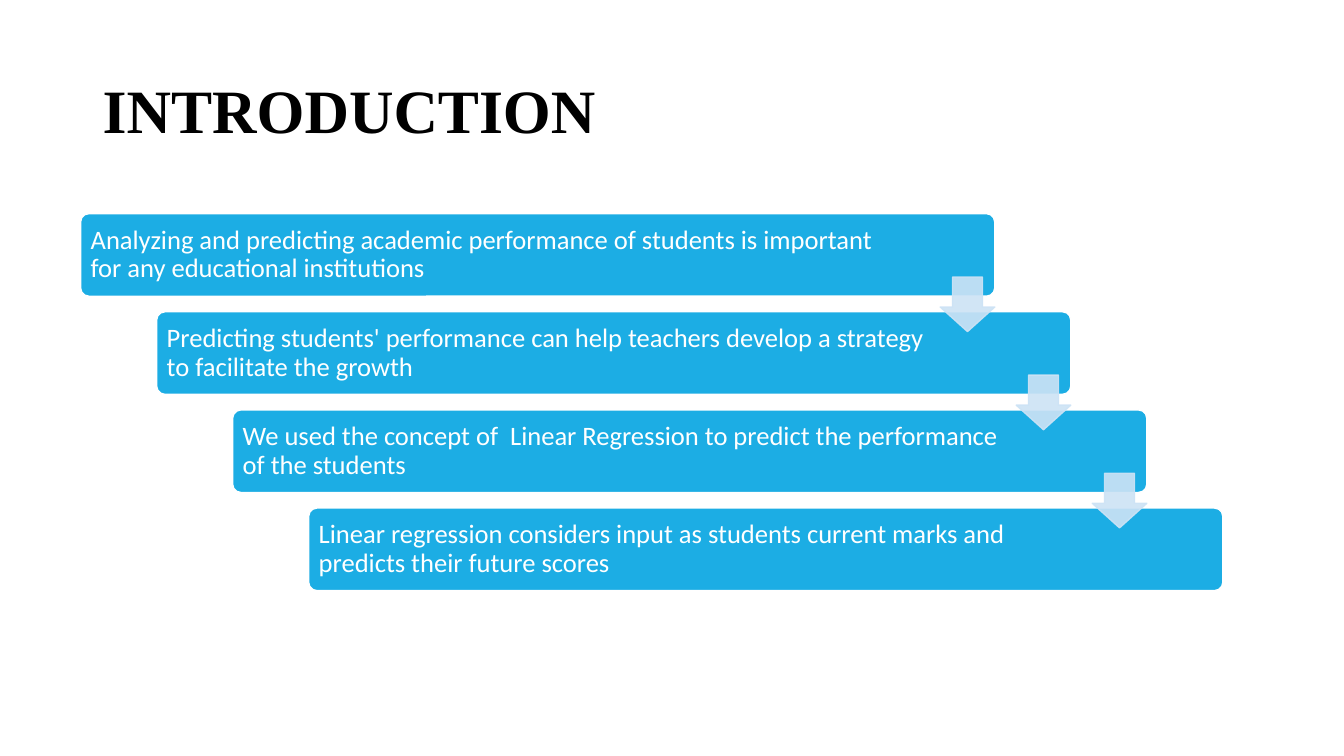
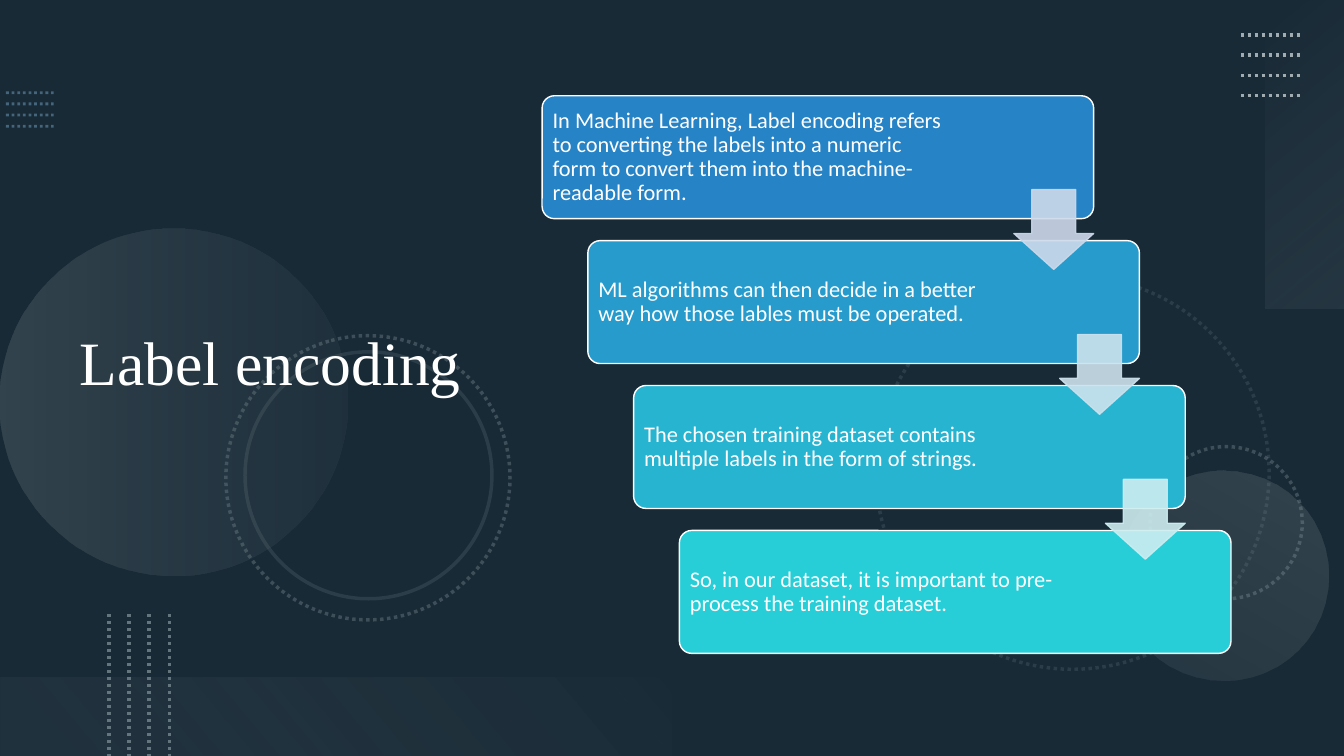
import itertools

import pptx
import pptx.dml.color
import pptx.enum.dml
import pptx.enum.shapes
import pptx.enum.text
import pptx.oxml
import pptx.oxml.ns
import pptx.util

Pt = pptx.util.Pt
SHAPE = pptx.enum.shapes.MSO_SHAPE
DOTTED = pptx.enum.dml.MSO_LINE.ROUND_DOT

COLORS = {
    "white": "FFFFFF", "black": "000000", "slate": "335B74",
    "sky": "1CADE4", "sky_pale": "CDE3F5",
    "blue": "2683C6", "azure": "269BCC", "teal": "27B4D1", "aqua": "27CED7",
    "blue_pale": "CDD9EA", "azure_pale": "CDE2ED", "teal_pale": "CDEDF0",
    "steel": "70A1C0", "gray": "65757D", "silver": "A1ACB2",
    "mist": "F2F4F5", "haze": "ECEEEF",
}
TITLE_FONT, BODY_FONT = "Times New Roman", "Calibri"


def rgb(name):
    return pptx.dml.color.RGBColor.from_string(COLORS[name])


def set_opacity(sp, *percents):
    """Give the colours of a shape, in order, these opacities (repeated as needed)."""
    colors = list(sp.element.spPr.iter(pptx.oxml.ns.qn("a:srgbClr")))
    for color, percent in zip(colors, itertools.cycle(percents)):
        alpha = pptx.oxml.parse_xml(
            f'<a:alpha {pptx.oxml.ns.nsdecls("a")} val="{percent * 1000}"/>')
        color.append(alpha)


def set_line(sp, color, width, dash=None):
    sp.line.color.rgb = rgb(color)
    sp.line.width = Pt(width)
    if dash:
        sp.line.dash_style = dash


def add_shape(s, kind, x, y, w, h, fill=None, rotation=0):
    sp = s.shapes.add_shape(kind, Pt(x), Pt(y), Pt(w), Pt(h))
    sp.shadow.inherit = False
    sp.rotation = rotation
    sp.line.fill.background()
    if fill:
        sp.fill.solid()
        sp.fill.fore_color.rgb = rgb(fill)
    else:
        sp.fill.background()
    return sp


def set_gradient(sp, angle, *stops):
    """Fill with two (position, colour, opacity) stops; the angle runs clockwise."""
    sp.fill.gradient()
    sp.fill.gradient_angle = 360 - angle
    for stop, (position, color, _) in zip(sp.fill.gradient_stops, stops):
        stop.position = position
        stop.color.rgb = rgb(color)
    set_opacity(sp, *(opacity for _, _, opacity in stops))


def add_ring(s, x, y, size, rotation, opacity, dash=DOTTED):
    sp = add_shape(s, SHAPE.OVAL, x, y, size, size, rotation=rotation)
    set_line(sp, "gray", 2.5, dash)
    set_opacity(sp, opacity)


def add_dot_lines(s, x, y, length, gap, color, width=2.5, opacity=100, vertical=False):
    """Draw four parallel dotted lines."""
    for i in range(4):
        x1, y1 = (x + i * gap, y) if vertical else (x, y + i * gap)
        x2, y2 = (x1, y1 + length) if vertical else (x1 + length, y1)
        line = s.shapes.add_connector(
            pptx.enum.shapes.MSO_CONNECTOR.STRAIGHT, Pt(x1), Pt(y1), Pt(x2), Pt(y2))
        set_line(line, color, width, DOTTED)
        set_opacity(line, opacity)
        line.element.spPr.append(pptx.oxml.parse_xml(
            f'<a:effectLst {pptx.oxml.ns.nsdecls("a")}/>'))


def write_text(tf, text, font, size, color, bold=False):
    tf.word_wrap = True
    tf.auto_size = pptx.enum.text.MSO_AUTO_SIZE.NONE
    tf.vertical_anchor = pptx.enum.text.MSO_ANCHOR.MIDDLE
    p = tf.paragraphs[0]
    p.alignment = pptx.enum.text.PP_ALIGN.LEFT
    p.line_spacing = 0.9
    r = p.add_run()
    r.text = text
    r.font.name, r.font.size, r.font.bold = font, Pt(size), bold
    r.font.color.rgb = rgb(color)


def set_title(s, text, x, y, w, h, color, bold=False):
    sp = s.shapes.title
    sp.left, sp.top, sp.width, sp.height = Pt(x), Pt(y), Pt(w), Pt(h)
    write_text(sp.text_frame, text, TITLE_FONT, 44, color, bold)
    sp.element.getparent().append(sp.element)  # in front of the decoration


def add_staircase(s, box, step, steps, arrows, arrow_size, arrow_drop, size, inset):
    """Draw boxes shifted by a fixed step, then an arrow from each to the next.

    Each of the steps is (text, fill, right inset)."""
    x, y, w, h = box
    dx, dy = step
    for i, (text, fill, right) in enumerate(steps):
        sp = add_shape(s, SHAPE.ROUNDED_RECTANGLE, x + i * dx, y + i * dy, w, h, fill)
        sp.adjustments[0] = 0.1
        set_line(sp, "white", 1)
        tf = sp.text_frame
        tf.margin_left = tf.margin_top = tf.margin_bottom = Pt(inset)
        tf.margin_right = Pt(right)
        write_text(tf, text, BODY_FONT, size, "white")
    for i, color in enumerate(arrows):
        sp = add_shape(s, SHAPE.DOWN_ARROW, x + w - arrow_size + i * dx,
                       y + arrow_drop + i * dy, arrow_size, arrow_size, color)
        sp.adjustments[0], sp.adjustments[1] = 0.55, 0.45
        set_line(sp, color, 1)
        set_opacity(sp, 90)


def add_slide(prs, background):
    s = prs.slides.add_slide(prs.slide_layouts[5])
    s.background.fill.solid()
    s.background.fill.fore_color.rgb = rgb(background)
    return s


def add_decoration(s):
    shade = add_shape(s, SHAPE.RECTANGLE, 0, 0, 960, 540, "black")
    set_opacity(shade, 53)
    add_dot_lines(s, 4.3, 66.2, 34, 8, "steel", width=2, opacity=50)
    add_ring(s, 625.7, 197.3, 280.8, 75, 25)
    add_ring(s, 821.5, 319, 108.7, 270, 50)
    disc = add_shape(s, SHAPE.OVAL, 0, 163.4, 248, 248, rotation=270)
    set_gradient(disc, 90, (0, "silver", 20), (1, "gray", 10))
    disc = add_shape(s, SHAPE.OVAL, 799.2, 336.2, 150, 150, rotation=210)
    set_gradient(disc, 90, (0, "silver", 10), (1, "silver", 20))
    add_ring(s, 161.3, 239.8, 203, 75, 50)
    add_ring(s, 175, 251.3, 176.4, 75, 25, dash=None)
    band = add_shape(s, SHAPE.RECTANGLE, 822, 82, 220.3, 56.2, rotation=270)
    set_gradient(band, 140, (0, "mist", 0), (1, "silver", 10))
    add_dot_lines(s, 886.3, 25, 43.2, 14.4, "silver")
    band = add_shape(s, SHAPE.RECTANGLE, 0, 483.8, 480, 56.2, rotation=180)
    set_gradient(band, 140, (0.1, "gray", 10), (1, "haze", 0))
    add_dot_lines(s, 77.8, 438.5, 101.5, 14.4, "gray", vertical=True)


def add_introduction(prs):
    s = add_slide(prs, "white")
    set_title(s, "INTRODUCTION", 66.2, 28.8, 828, 104.4, "black", bold=True)
    steps = [
        ("Analyzing and predicting academic performance of students is important "
         "for any educational institutions", "sky", 71),
        ("Predicting students' performance can help teachers develop a strategy "
         "to facilitate the growth", "sky", 99),
        ("We used the concept of  Linear Regression to predict the performance "
         "of the students", "sky", 98),
        ("Linear regression considers input as students current marks and "
         "predicts their future scores", "sky", 99),
    ]
    add_staircase(s, (57.6, 152.6, 653, 59), (54.3, 70.1), steps, ["sky_pale"] * 3,
                  arrow_size=39, arrow_drop=45.3, size=19, inset=5.5)


def add_label_encoding(prs):
    s = add_slide(prs, "slate")
    add_decoration(s)
    set_title(s, "Label encoding", 49.7, 38.9, 330.5, 444.2, "white")
    steps = [
        ("In Machine Learning, Label encoding refers to converting the labels into "
         "a numeric form to convert them into the machine-readable form.", "blue", 101),
        ("ML algorithms can then decide in a better way how those lables must be "
         "operated.", "azure", 95),
        ("The chosen training dataset contains multiple labels in the form of "
         "strings.", "teal", 94),
        ("So, in our dataset, it is important to pre-process the training "
         "dataset.", "aqua", 95),
    ]
    add_staircase(s, (387.2, 68.4, 394, 87.8), (32.7, 103.5), steps,
                  ["blue_pale", "azure_pale", "teal_pale"],
                  arrow_size=57, arrow_drop=67, size=16, inset=5)


def main():
    prs = pptx.Presentation()
    prs.slide_width, prs.slide_height = Pt(960), Pt(540)
    add_introduction(prs)
    add_label_encoding(prs)
    prs.save("out.pptx")


if __name__ == "__main__":
    main()
